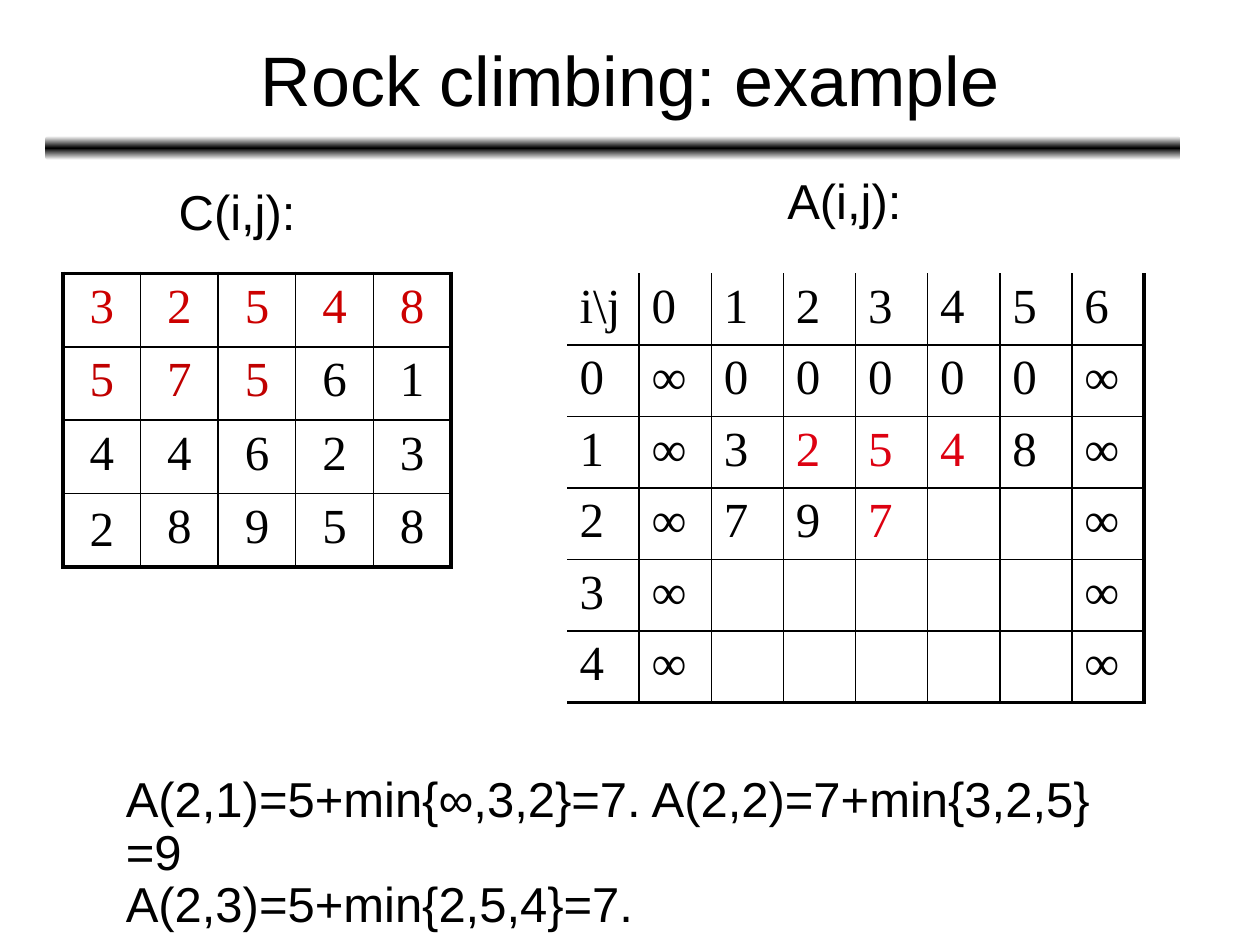
from dataclasses import dataclass

from lxml.etree import SubElement
from pptx import Presentation
from pptx.dml.color import RGBColor
from pptx.enum.shapes import MSO_SHAPE
from pptx.enum.text import MSO_ANCHOR, PP_ALIGN
from pptx.oxml.ns import qn
from pptx.slide import Slide
from pptx.table import _Cell
from pptx.text.text import _Paragraph
from pptx.util import Inches, Pt

COLORS = {
    "black": "000000",
    "white": "FFFFFF",
    "first_row": "CC0000",
    "second_row": "C00000",
    "minimum": "DD0111",
}
THIN, THICK = 1, 2.25


@dataclass
class Grid:
    left: float
    top: float
    width: float
    height: float
    rows: list[list[str]]
    highlights: dict[tuple[int, int], str]
    outer: dict[str, float]
    align: PP_ALIGN


@dataclass
class Label:
    left: float
    top: float
    width: float
    height: float
    text: str
    wrap: bool = False


COSTS = Grid(
    0.5, 2.17, 3.08, 2.33,
    [line.split() for line in ("3 2 5 4 8", "5 7 5 6 1", "4 4 6 2 3", "2 8 9 5 8")],
    {(0, column): "first_row" for column in range(5)}
    | {(1, column): "second_row" for column in range(3)},
    {"L": THICK, "R": THICK, "T": THICK, "B": THICK},
    PP_ALIGN.CENTER,
)
ANSWERS = Grid(
    4.5, 2.17, 4.58, 3.4,
    [
        ["i\\j", "0", "1", "2", "3", "4", "5", "6"],
        ["0", "∞", "0", "0", "0", "0", "0", "∞"],
        ["1", "∞", "3", "2", "5", "4", "8", "∞"],
        ["2", "∞", "7", "9", "7", "", "", "∞"],
        ["3", "∞", "", "", "", "", "", "∞"],
        ["4", "∞", "", "", "", "", "", "∞"],
    ],
    {cell: "minimum" for cell in ((2, 3), (2, 4), (2, 5), (3, 4))},
    {"L": 0, "R": THICK, "T": 0, "B": THICK},
    PP_ALIGN.LEFT,
)
LABELS = [
    Label(1.32, 1.44, 1.14, 0.52, "C(i,j):"),
    Label(6.15, 1.36, 1.16, 0.52, "A(i,j):"),
    Label(0.9, 6.1, 8.14, 0.94,
          "A(2,1)=5+min{∞,3,2}=7. A(2,2)=7+min{3,2,5}=9\nA(2,3)=5+min{2,5,4}=7.", True),
]


def rgb(name: str) -> RGBColor:
    return RGBColor.from_string(COLORS[name])


def format_runs(paragraph: _Paragraph, font: str, size: float, color: str = "black") -> None:
    for span in paragraph.runs:
        span.font.name = font
        span.font.size = Pt(size)
        span.font.color.rgb = rgb(color)


def set_borders(cell: _Cell, widths: dict[str, float]) -> None:
    properties = cell._tc.get_or_add_tcPr()
    for side, width in widths.items():
        line = SubElement(properties, qn(f"a:ln{side}"), w=str(Pt(width)))
        if width:
            fill = SubElement(line, qn("a:solidFill"))
            SubElement(fill, qn("a:srgbClr"), val=COLORS["black"])
        else:
            SubElement(line, qn("a:noFill"))


def draw_grid(page: Slide, grid: Grid) -> None:
    row_count, column_count = len(grid.rows), len(grid.rows[0])
    table = page.shapes.add_table(
        row_count, column_count, Inches(grid.left), Inches(grid.top),
        Inches(grid.width), Inches(grid.height),
    ).table
    table.first_row = table.horz_banding = False
    for row, values in enumerate(grid.rows):
        for column, value in enumerate(values):
            cell = table.cell(row, column)
            edges = {"L": column == 0, "R": column == column_count - 1,
                     "T": row == 0, "B": row == row_count - 1}
            set_borders(cell, {side: grid.outer[side] if at_edge else THIN
                               for side, at_edge in edges.items()})
            cell.fill.background()
            cell.text_frame.text = value
            paragraph = cell.text_frame.paragraphs[0]
            paragraph.alignment = grid.align
            format_runs(paragraph, "Times New Roman", 28,
                        grid.highlights.get((row, column), "black"))
    if grid is COSTS:
        table.cell(row_count - 1, 0).vertical_anchor = MSO_ANCHOR.MIDDLE


def draw_label(page: Slide, label: Label) -> None:
    box = page.shapes.add_textbox(Inches(label.left), Inches(label.top),
                                  Inches(label.width), Inches(label.height))
    box.text_frame.word_wrap = label.wrap
    box.text_frame.text = label.text
    for paragraph in box.text_frame.paragraphs:
        paragraph.line_spacing = 0.9
        format_runs(paragraph, "Arial", 28)


def draw_title(page: Slide, text: str) -> None:
    title = page.shapes.title
    title.left, title.top = Inches(0.75), Inches(0)
    title.width, title.height = Inches(8.5), Inches(1.25)
    title.text_frame.text = text
    title.text_frame.vertical_anchor = MSO_ANCHOR.MIDDLE
    paragraph = title.text_frame.paragraphs[0]
    paragraph.alignment = PP_ALIGN.CENTER
    format_runs(paragraph, "Arial", 40)


def draw_divider(page: Slide) -> None:
    bar = page.shapes.add_shape(MSO_SHAPE.ROUNDED_RECTANGLE, Inches(0.36), Inches(1.08),
                                Inches(9.01), Inches(0.19))
    bar.shadow.inherit = False
    bar.line.fill.background()
    bar.fill.gradient()
    bar.fill.gradient_angle = 90
    stops = bar._element.spPr.find(qn("a:gradFill")).find(qn("a:gsLst"))
    for stop in list(stops):
        stops.remove(stop)
    for position, color in ((0, "white"), (50, "black"), (100, "white")):
        stop = SubElement(stops, qn("a:gs"), pos=str(position * 1000))
        SubElement(stop, qn("a:srgbClr"), val=COLORS[color])


def main() -> None:
    deck = Presentation()
    deck.slide_width, deck.slide_height = Inches(10), Inches(7.5)
    page = deck.slides.add_slide(deck.slide_layouts.get_by_name("Title Only"))
    draw_divider(page)
    draw_title(page, "Rock climbing: example")
    draw_grid(page, COSTS)
    for label in LABELS:
        draw_label(page, label)
    draw_grid(page, ANSWERS)
    deck.save("out.pptx")


if __name__ == "__main__":
    main()
